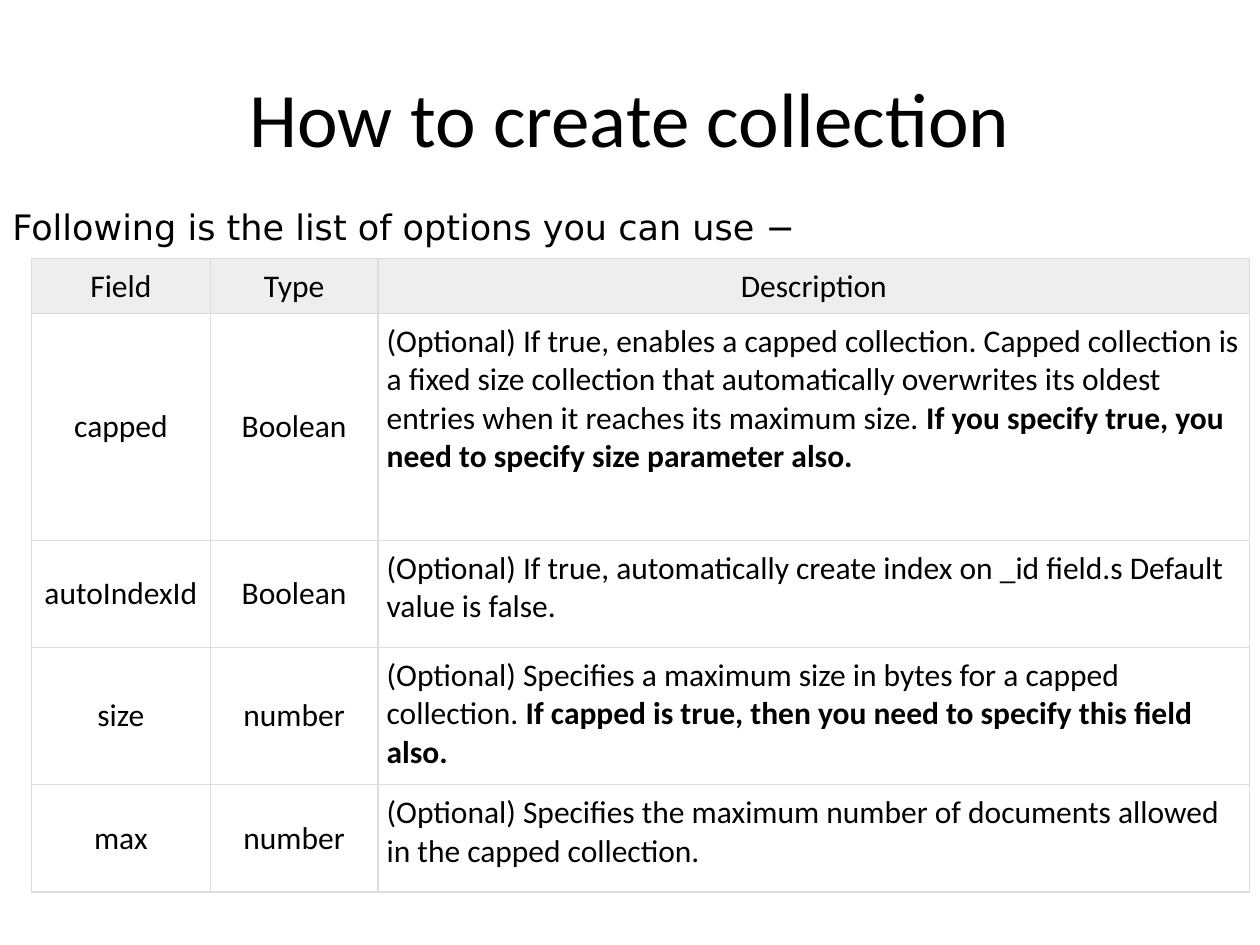
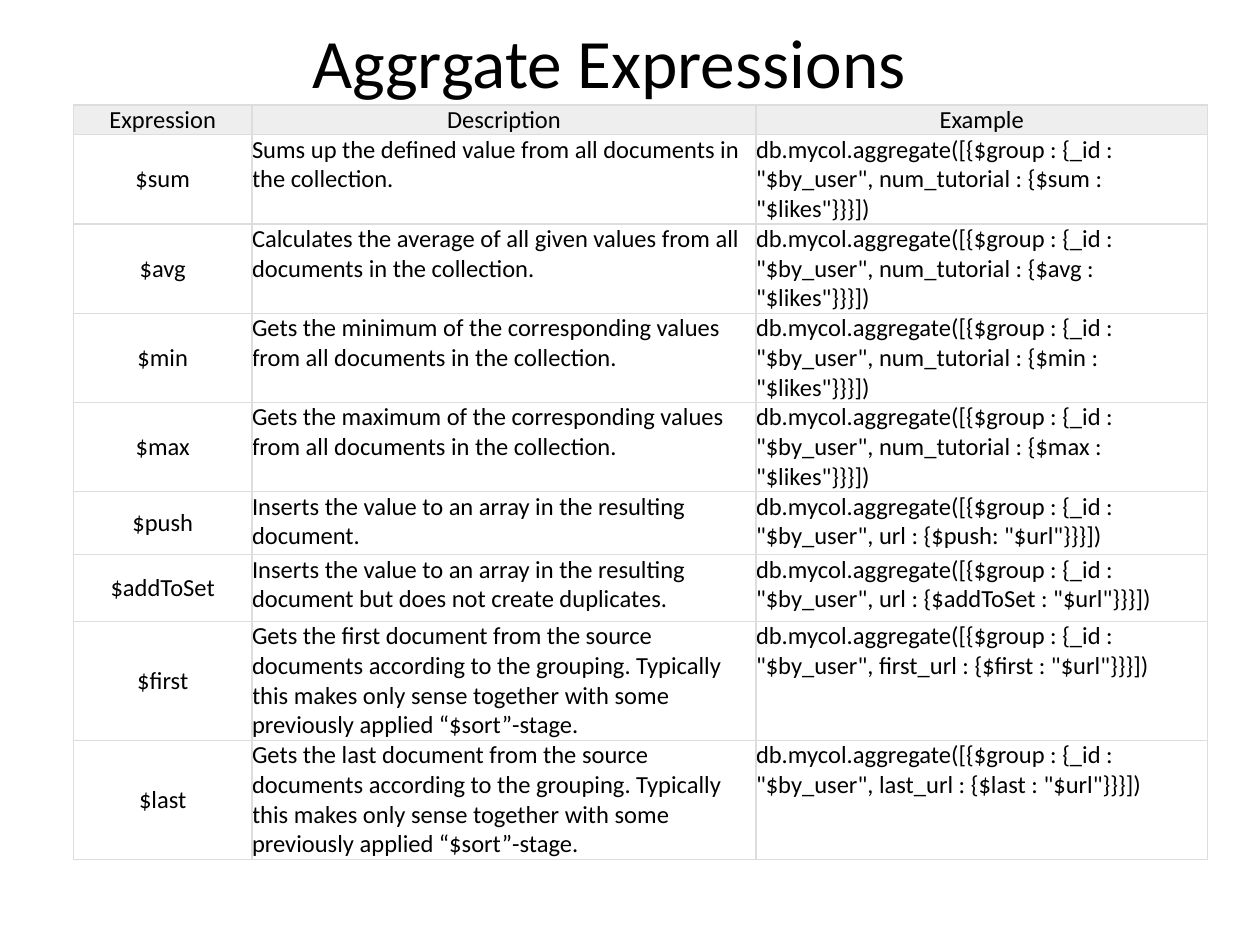
from lxml import etree
from pptx import Presentation
from pptx.dml.color import RGBColor
from pptx.enum.text import MSO_ANCHOR, MSO_AUTO_SIZE, PP_ALIGN
from pptx.oxml.ns import qn
from pptx.util import Pt

TOP, MIDDLE = MSO_ANCHOR.TOP, MSO_ANCHOR.MIDDLE
LEFT, CENTER, JUSTIFY = PP_ALIGN.LEFT, PP_ALIGN.CENTER, PP_ALIGN.JUSTIFY
FIXED, GROW = MSO_AUTO_SIZE.NONE, MSO_AUTO_SIZE.SHAPE_TO_FIT_TEXT

COLORS = {"text": "000000", "border": "DDDDDD", "header": "EEEEEE", "body": "FFFFFF"}
BODY_FONT, LEAD_FONT = "Calibri", "DejaVu Sans"
BORDER_WIDTH = Pt(0.75)

# Each description is a list of parts: plain text, then optional bold text
OPTIONS = [
    ("capped", "Boolean", [
        "(Optional) If true, enables a capped collection. Capped collection is a fixed size "
        "collection that automatically overwrites its oldest entries when it reaches its "
        "maximum size. ",
        "If you specify true, you need to specify size parameter also."]),
    ("autoIndexId", "Boolean", [
        "(Optional) If true, automatically create index on _id field.s Default value is false."]),
    ("size", "number", [
        "(Optional) Specifies a maximum size in bytes for a capped collection. ",
        "If capped is true, then you need to specify this field also."]),
    ("max", "number", [
        "(Optional) Specifies the maximum number of documents allowed in the capped collection."]),
]


def example(accumulator):
    return 'db.mycol.aggregate([{$group : {_id : "$by_user", ' + accumulator + "}}}])"


def extreme(name):
    return f"Gets the {name} of the corresponding values from all documents in the collection."


def endpoint(name):
    return (f"Gets the {name} document from the source documents according to the grouping. "
            "Typically this makes only sense together with some previously applied "
            "“$sort”-stage.")


EXPRESSIONS = [
    ("$sum", "Sums up the defined value from all documents in the collection.",
     example('num_tutorial : {$sum : "$likes"')),
    ("$avg", "Calculates the average of all given values from all documents in the collection.",
     example('num_tutorial : {$avg : "$likes"')),
    ("$min", extreme("minimum"), example('num_tutorial : {$min : "$likes"')),
    ("$max", extreme("maximum"), example('num_tutorial : {$max : "$likes"')),
    ("$push", "Inserts the value to an array in the resulting document.",
     example('url : {$push: "$url"')),
    ("$addToSet",
     "Inserts the value to an array in the resulting document but does not create duplicates.",
     example('url : {$addToSet : "$url"')),
    ("$first", endpoint("first"), example('first_url : {$first : "$url"')),
    ("$last", endpoint("last"), example('last_url : {$last : "$url"')),
]


def set_all(target, values):
    for name, value in values.items():
        setattr(target, name, value)


def color(name):
    return RGBColor.from_string(COLORS[name])


def write(para, parts, size, font=BODY_FONT, align=LEFT):
    """Fill a paragraph; every part after the first is bold."""
    para.alignment = align
    for index, text in enumerate(parts):
        span = para.add_run()
        span.text = text
        set_all(span.font, {"name": font, "size": Pt(size), "bold": index > 0})
        span.font.color.rgb = color("text")


def add_text(page, box, text, size, font=BODY_FONT, align=CENTER, wrap=True, fit=FIXED):
    frame = page.shapes.add_textbox(*map(Pt, box)).text_frame
    set_all(frame, {"word_wrap": wrap, "auto_size": fit, "vertical_anchor": MIDDLE})
    write(frame.paragraphs[0], [text], size, font, align)


def add_borders(cell):
    properties = cell._tc.get_or_add_tcPr()
    for side in ("lnL", "lnR", "lnT", "lnB"):
        line = etree.SubElement(properties, qn(f"a:{side}"), w=str(BORDER_WIDTH))
        fill = etree.SubElement(line, qn("a:solidFill"))
        etree.SubElement(fill, qn("a:srgbClr"), val=COLORS["border"])


def add_grid(page, corner, widths, heights, rows, size, inset, centered):
    """Table with a grey header row; the first `centered` columns are centred."""
    left, top = corner
    shape = page.shapes.add_table(len(rows), len(widths), Pt(left), Pt(top),
                                  Pt(sum(widths)), Pt(sum(heights)))
    table = shape.table
    set_all(table, {"first_row": False, "horz_banding": False})
    for column, width in zip(table.columns, widths):
        column.width = Pt(width)
    for row, height in zip(table.rows, heights):
        row.height = Pt(height)

    for row_index, values in enumerate(rows):
        is_header = row_index == 0
        for column_index, value in enumerate(values):
            cell = table.cell(row_index, column_index)
            is_label = column_index < centered
            for side in ("left", "right", "top", "bottom"):
                setattr(cell, f"margin_{side}", Pt(inset))
            cell.vertical_anchor = MIDDLE if is_label and not is_header else TOP
            add_borders(cell)
            cell.fill.solid()
            cell.fill.fore_color.rgb = color("header" if is_header else "body")
            parts = [value] if isinstance(value, str) else value
            align = CENTER if is_header or is_label else LEFT
            write(cell.text_frame.paragraphs[0], parts, size, align=align)


def add_options_page(page):
    add_text(page, (36, 21.6, 648, 90), "How to create collection", 44)
    add_text(page, (0, 113.8, 467.3, 31.7), "Following is the list of options you can use −",
             20, LEAD_FONT, JUSTIFY, wrap=False, fit=GROW)
    add_grid(page, (18, 147.6), (102.2, 95.8, 498.2), (26.6, 129.6, 61.2, 78.5, 61.2),
             [("Field", "Type", "Description")] + OPTIONS, size=18, inset=5, centered=2)


def add_expressions_page(page):
    add_text(page, (24, 9.4, 648, 50.4), "Aggrgate Expressions", 39.6)
    add_grid(page, (42, 60), (102, 288, 258), [17] + [51] * 4 + [36, 38] + [68] * 2,
             [("Expression", "Description", "Example")] + EXPRESSIONS,
             size=14, inset=0, centered=1)


def main():
    deck = Presentation()
    set_all(deck, {"slide_width": Pt(720), "slide_height": Pt(540)})
    blank = deck.slide_layouts[6]
    for add_page in (add_options_page, add_expressions_page):
        add_page(deck.slides.add_slide(blank))
    deck.save("out.pptx")


if __name__ == "__main__":
    main()
